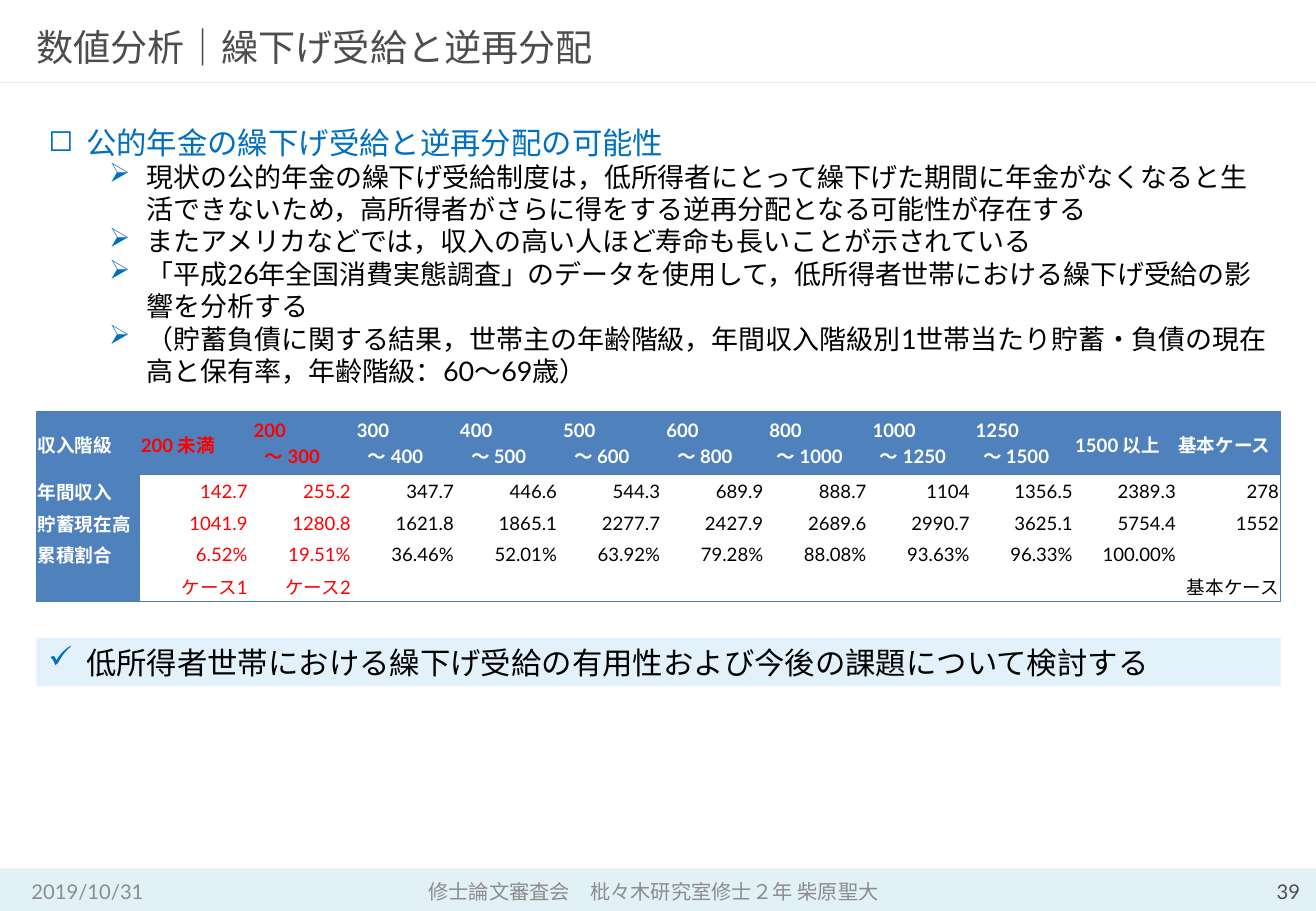
from dataclasses import dataclass

from lxml import etree
from pptx import Presentation, util as u
from pptx.dml.color import RGBColor
from pptx.enum import shapes, text
from pptx.oxml import ns


@dataclass(frozen=True)
class Theme:
    latin: str = "Lato"
    japanese: str = "Noto Sans CJK JP"
    title_size: int = 22
    lead_size: int = 18
    detail_size: int = 16
    footer_size: int = 12
    table_size: int = 11
    black: str = "000000"
    white: str = "FFFFFF"
    dark: str = "4D4D4D"
    muted: str = "8C8C8C"
    accent: str = "0070C0"
    alert: str = "FF0000"
    rule: str = "EAEAEA"
    footer_bar: str = "DBEEF4"
    highlight: str = "E2F1FA"
    table_head: str = "4F81BD"
    table_edge: str = "4B7EBC"


THEME = Theme()
SLIDE_WIDTH, SLIDE_HEIGHT = u.Inches(10.83), u.Inches(7.5)
MARGIN, CONTENT_WIDTH = 2.77, 94.55
HANGING = 2.86
CASE_ONE_WIDTH = 8.3
TABLE_ROW = 3.47
SPACE_WIDTH = 0.28
NO_TABLE_STYLE = "{2D5ABB26-0587-4C30-8999-92F81FD0307C}"


def columns(count: float) -> int:
    return round(SLIDE_WIDTH * count / 100)


def rows(count: float) -> int:
    return round(SLIDE_HEIGHT * count / 100)


@dataclass(frozen=True)
class Frame:
    left: float
    top: float
    width: float
    height: float

    def box(self) -> tuple[int, int, int, int]:
        return columns(self.left), rows(self.top), columns(self.width), rows(self.height)


@dataclass(frozen=True)
class Line:
    words: str
    size: int
    color: str
    bold: bool = False
    align: text.PP_ALIGN = text.PP_ALIGN.LEFT
    bullet: str = ""
    indent: float = 0
    east_font: str = THEME.latin


@dataclass(frozen=True)
class Label:
    frame: Frame
    line: Line
    padded: bool = True


def rgb(color: str) -> RGBColor:
    return RGBColor.from_string(color)


def add_child(parent, tag: str, **attributes: str):
    return etree.SubElement(parent, ns.qn(tag), **attributes)


def write_lines(body, lines: list[Line]) -> None:
    body.word_wrap = True
    for index, line in enumerate(lines):
        paragraph = body.add_paragraph() if index else body.paragraphs[0]
        paragraph.alignment = line.align
        properties = paragraph._p.get_or_add_pPr()
        if line.indent:
            properties.set("marL", str(columns(line.indent)))
        if line.bullet:
            properties.set("indent", str(-columns(HANGING)))
            bullet_color = add_child(properties, "a:buClr")
            add_child(bullet_color, "a:srgbClr", val=THEME.accent)
            add_child(properties, "a:buChar", char=line.bullet)
        if not line.words:
            add_child(paragraph._p, "a:endParaRPr", sz=str(line.size * 100))
            continue
        run = paragraph.add_run()
        run.text = line.words
        run.font.size = u.Pt(line.size)
        run.font.bold = line.bold
        run.font.color.rgb = rgb(line.color)
        run.font.name = THEME.latin
        add_child(run._r.get_or_add_rPr(), "a:ea", typeface=line.east_font)


def add_label(slide, label: Label) -> None:
    body = slide.shapes.add_textbox(*label.frame.box()).text_frame
    body.vertical_anchor = text.MSO_ANCHOR.MIDDLE
    if not label.padded:
        body.margin_left = body.margin_right = body.margin_top = body.margin_bottom = 0
    write_lines(body, [label.line])


def add_panel(slide, kind: shapes.MSO_SHAPE, frame: Frame, color: str):
    panel = slide.shapes.add_shape(kind, *frame.box())
    panel.shadow.inherit = False
    panel.fill.solid()
    panel.fill.fore_color.rgb = rgb(color)
    panel.line.fill.background()
    return panel


def add_edge(cell, side: str) -> None:
    edge = add_child(cell._tc.get_or_add_tcPr(), f"a:ln{side}", w=str(u.Pt(0.75)))
    add_child(add_child(edge, "a:solidFill"), "a:srgbClr", val=THEME.table_edge)


def cell_lines(words: str, row: int, column: int) -> list[Line]:
    heading = row == 0 or column == 0
    color = THEME.alert if column in (1, 2) else THEME.white if heading else THEME.black
    align = text.PP_ALIGN.LEFT if heading else text.PP_ALIGN.RIGHT
    parts = words.split("\n")
    spaces = [0] if len(parts) == 1 else [1, 4 if len(parts[1]) == 5 else 3]
    return [
        Line(part, THEME.table_size, color, heading, align,
             indent=count * SPACE_WIDTH, east_font=THEME.japanese)
        for part, count in zip(parts, spaces)
    ]


def add_income_table(slide, frame: Frame, records: list[list[str]]) -> None:
    last_row, last_column = len(records) - 1, len(records[0]) - 1
    table = slide.shapes.add_table(last_row + 1, last_column + 1, *frame.box()).table
    table.first_row = table.horz_banding = False
    table._tbl.tblPr.find(ns.qn("a:tableStyleId")).text = NO_TABLE_STYLE
    for index, column in enumerate(table.columns):
        column.width = columns(CASE_ONE_WIDTH if index == 1
                               else (CONTENT_WIDTH - CASE_ONE_WIDTH) / last_column)
    for index, row in enumerate(table.rows):
        row.height = rows(TABLE_ROW if index else 2 * TABLE_ROW)
    for r, record in enumerate(records):
        for c, words in enumerate(record):
            cell = table.cell(r, c)
            cell.margin_left = cell.margin_right = cell.margin_top = u.Inches(0.01)
            cell.margin_bottom = 0
            cell.vertical_anchor = text.MSO_ANCHOR.MIDDLE
            outer = {"L": c == 0, "R": c == last_column, "T": r == 0, "B": r == last_row}
            for side in filter(outer.get, outer):
                add_edge(cell, side)
            if r == 0 or c == 0:
                cell.fill.solid()
                cell.fill.fore_color.rgb = rgb(THEME.table_head)
            else:
                cell.fill.background()
            write_lines(cell.text_frame, cell_lines(words, r, c))


LABELS = [
    Label(Frame(MARGIN, 2.27, CONTENT_WIDTH, 5.73),
          Line("数値分析｜繰下げ受給と逆再分配", THEME.title_size, THEME.dark), False),
    Label(Frame(1.48, 96.4, 22.53, 2.93), Line("2019/10/31", THEME.footer_size, THEME.muted)),
    Label(Frame(24.01, 96.27, 51.34, 3.07),
          Line("修士論文審査会　枇々木研究室修士２年 柴原聖大", THEME.footer_size, THEME.muted,
               align=text.PP_ALIGN.CENTER)),
    Label(Frame(75.44, 96.53, 23.36, 2.67),
          Line("39", THEME.footer_size, THEME.dark, align=text.PP_ALIGN.RIGHT), False),
]
LEAD = Line("公的年金の繰下げ受給と逆再分配の可能性", THEME.lead_size, THEME.accent,
            bullet="◻", indent=HANGING)
DETAILS = [
    "現状の公的年金の繰下げ受給制度は，低所得者にとって繰下げた期間に年金がなくなると生活できないため，高所得者がさらに得をする逆再分配となる可能性が存在する",
    "またアメリカなどでは，収入の高い人ほど寿命も長いことが示されている",
    "「平成26年全国消費実態調査」のデータを使用して，低所得者世帯における繰下げ受給の影響を分析する",
    "（貯蓄負債に関する結果，世帯主の年齢階級，年間収入階級別1世帯当たり貯蓄・負債の現在高と保有率，年齢階級：60～69歳）",
]
CONCLUSION = Line("低所得者世帯における繰下げ受給の有用性および今後の課題について検討する",
                  THEME.lead_size, THEME.black, bullet="✓", indent=HANGING)
BOUNDS = [200, 300, 400, 500, 600, 800, 1000, 1250, 1500]
INCOME_RECORDS = [
    ["収入階級", "200 未満", *(f"{low}\n～ {high}" for low, high in zip(BOUNDS, BOUNDS[1:])),
     "1500 以上", "基本ケース"],
    ["年間収入", *"142.7 255.2 347.7 446.6 544.3 689.9 888.7 1104 1356.5 2389.3 278".split()],
    ["貯蓄現在高",
     *"1041.9 1280.8 1621.8 1865.1 2277.7 2427.9 2689.6 2990.7 3625.1 5754.4 1552".split()],
    ["累積割合",
     *"6.52% 19.51% 36.46% 52.01% 63.92% 79.28% 88.08% 93.63% 96.33% 100.00%".split(), ""],
    ["", "ケース1", "ケース2", *[""] * 8, "基本ケース"],
]


def main() -> None:
    deck = Presentation()
    deck.slide_width, deck.slide_height = SLIDE_WIDTH, SLIDE_HEIGHT
    slide = deck.slides.add_slide(deck.slide_layouts[6])

    footer = add_panel(slide, shapes.MSO_SHAPE.ROUNDED_RECTANGLE,
                       Frame(0, 95.33, 100, 4.67), THEME.footer_bar)
    footer.adjustments[0] = 0
    footer_color = footer._element.spPr.find(ns.qn("a:solidFill"))[0]
    add_child(footer_color, "a:alpha", val="80000")

    title_rule = slide.shapes.add_connector(
        shapes.MSO_CONNECTOR.STRAIGHT, 0, rows(9.07), columns(100), rows(9.07))
    title_rule.line.color.rgb = rgb(THEME.rule)
    title_rule.line.width = u.Pt(0.75)
    add_child(title_rule._element.spPr, "a:effectLst")

    for label in LABELS:
        add_label(slide, label)

    argument = slide.shapes.add_textbox(*Frame(MARGIN, 12.93, CONTENT_WIDTH, 30.53).box())
    write_lines(argument.text_frame, [LEAD] + [
        Line(words, THEME.detail_size, THEME.black, bullet="➢", indent=7.48)
        for words in DETAILS])

    add_income_table(slide, Frame(MARGIN, 45.2, CONTENT_WIDTH, 6 * TABLE_ROW), INCOME_RECORDS)

    conclusion = add_panel(slide, shapes.MSO_SHAPE.RECTANGLE,
                           Frame(MARGIN, 70, CONTENT_WIDTH, 5.33), THEME.highlight)
    write_lines(conclusion.text_frame, [CONCLUSION])

    deck.save("out.pptx")


if __name__ == "__main__":
    main()
